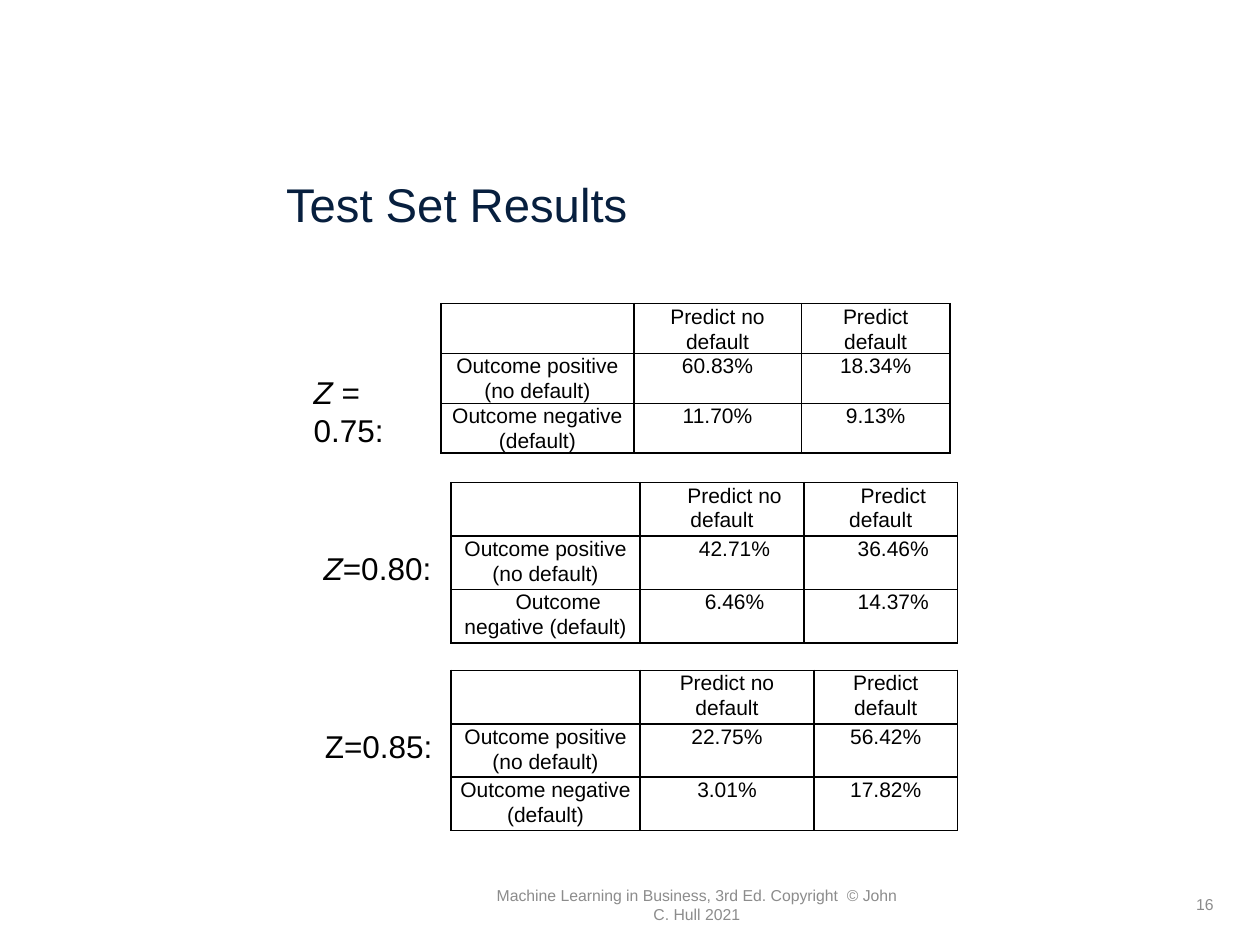
from lxml.etree import SubElement
from pptx import Presentation
from pptx.dml.color import RGBColor
from pptx.enum.text import MSO_ANCHOR as ANCHOR, MSO_AUTO_SIZE as AUTO, PP_ALIGN as ALIGN
from pptx.oxml.ns import qn
from pptx.util import Pt

PX = 9144  # EMU per px, at 100 px to the inch
COLORS = {"title": "071F3E", "text": "000000", "muted": "8C8C8C"}
FONT = "Arial"
ROW_H = 39
HEADS = ["", "Predict no default", "Predict default"]
OUTCOMES = ["Outcome positive (no default)", "Outcome negative (default)"]

# First-line indents in px, by row and column
SLIGHT = [[0, -2, 0]] * 3
DEEP = [[0, 20, 20], [0, 20, 20], [20, 20, 20]]

# Each block: label box, label runs (text, italic), table origin, columns, values, indents
BLOCKS = [
    ((239, 291, 118, 40), [("Z ", True), ("= 0.75:", False)], (350, 241), [153, 133, 118],
     [["60.83%", "18.34%"], ["11.70%", "9.13%"]], SLIGHT),
    ((247, 431, 118, 40), [("Z", True), ("=0.80:", False)], (358, 383), [150, 130, 122],
     [["42.71%", "36.46%"], ["6.46%", "14.37%"]], DEEP),
    ((248, 572, 118, 40), [("Z=0.85:", False)], (358, 532), [150, 138, 114],
     [["22.75%", "56.42%"], ["3.01%", "17.82%"]], SLIGHT),
]


def emu(*lengths):
    return [n * PX for n in lengths]


def add_run(p, text, size, color, italic=False):
    r = p.add_run()
    r.text = text
    for name, value in {"name": FONT, "size": Pt(size), "italic": italic}.items():
        setattr(r.font, name, value)
    r.font.color.rgb = RGBColor.from_string(COLORS[color])


def add_title(s, box, text):
    sp = s.shapes.title
    sp.left, sp.top, sp.width, sp.height = emu(*box)
    tf = sp.text_frame
    tf.auto_size, tf.vertical_anchor = AUTO.NONE, ANCHOR.MIDDLE
    p = tf.paragraphs[0]
    p.alignment, p.line_spacing = ALIGN.LEFT, 0.9
    add_run(p, text, 27, "title")


def add_text(s, box, runs, size, color, align=ALIGN.LEFT, anchor=ANCHOR.TOP):
    tf = s.shapes.add_textbox(*emu(*box)).text_frame
    tf.word_wrap, tf.vertical_anchor = True, anchor
    p = tf.paragraphs[0]
    p.alignment = align
    for text, italic in runs:
        add_run(p, text, size, color, italic)


def style_cell(cell):
    margins = {"margin_left": 7, "margin_right": 7, "margin_top": 0, "margin_bottom": 0}
    for name, value in margins.items():
        setattr(cell, name, value * PX)
    tc_pr = cell._tc.get_or_add_tcPr()
    for side in ("lnL", "lnR", "lnT", "lnB"):
        ln = SubElement(tc_pr, qn(f"a:{side}"), w=str(Pt(1)))
        fill = SubElement(ln, qn("a:solidFill"))
        SubElement(fill, qn("a:srgbClr"), val=COLORS["text"])
    cell.fill.background()


def add_matrix(s, origin, cols, values, indents):
    rows = [HEADS] + [[name] + vals for name, vals in zip(OUTCOMES, values)]
    box = (*origin, sum(cols), ROW_H * len(rows))
    table = s.shapes.add_table(len(rows), len(cols), *emu(*box)).table
    table.first_row = table.horz_banding = False
    for col, width in zip(table.columns, cols):
        col.width = width * PX
    for i, row in enumerate(rows):
        table.rows[i].height = ROW_H * PX
        for j, text in enumerate(row):
            cell = table.cell(i, j)
            style_cell(cell)
            p = cell.text_frame.paragraphs[0]
            p.alignment, p.line_spacing = ALIGN.CENTER, 1.06
            p._p.get_or_add_pPr().set("indent", str(indents[i][j] * PX))
            if text:
                add_run(p, text, 12, "text")
            else:
                p.font.size = Pt(12)


def add_footer(s, left, top, height):
    note = "Machine Learning in Business, 3rd Ed. Copyright  © John C. Hull 2021"
    add_text(s, (left, top, 338, height), [(note, False)], 9, "muted",
             ALIGN.CENTER, ANCHOR.MIDDLE)
    add_text(s, (left + 364, top, 225, height), [("16", False)], 9, "muted",
             ALIGN.RIGHT, ANCHOR.MIDDLE)


def main():
    prs = Presentation()
    prs.slide_width, prs.slide_height = emu(1000, 750)
    s = prs.slides.add_slide(prs.slide_layouts[5])
    add_title(s, (217, 102, 677, 125), "Test Set Results")
    # One labelled confusion matrix per threshold
    for box, label, origin, cols, values, indents in BLOCKS:
        add_matrix(s, origin, cols, values, indents)
        add_text(s, box, label, 18, "text")
    add_footer(s, 384, 698, 40)
    prs.save("out.pptx")


if __name__ == "__main__":
    main()
